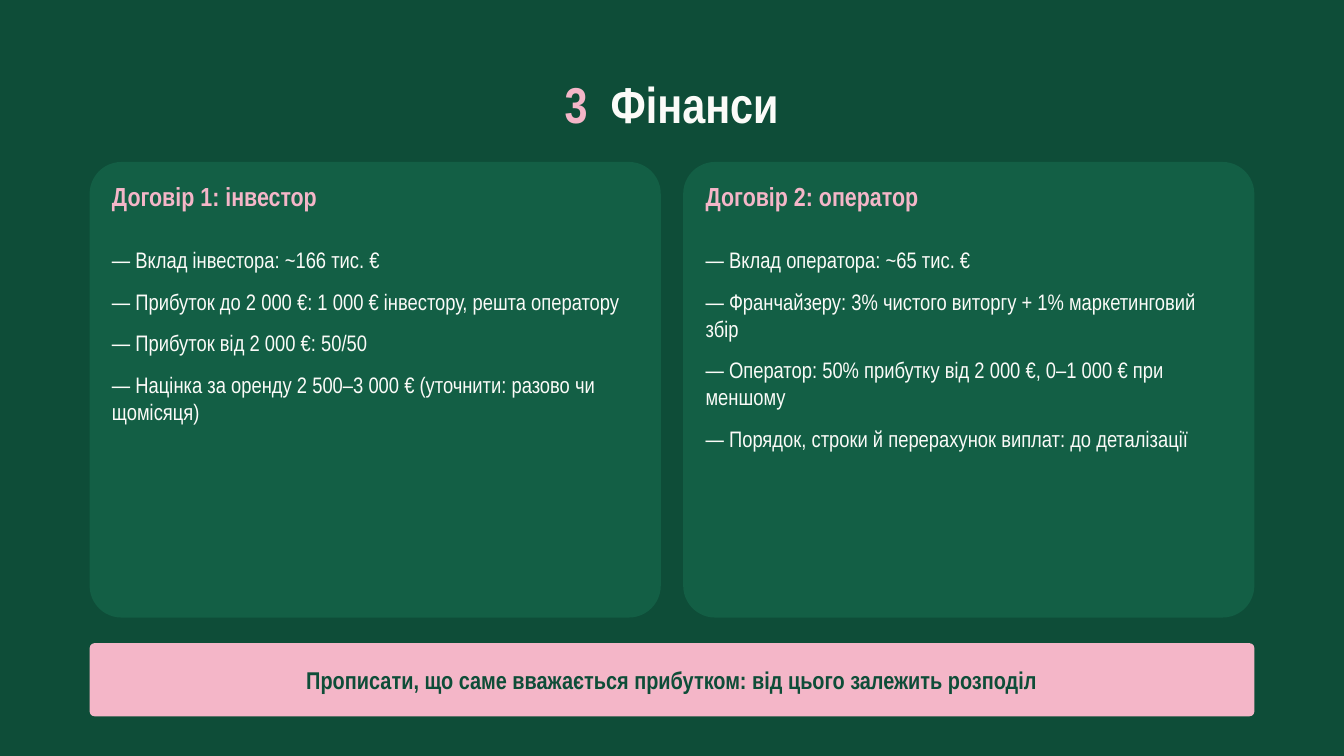
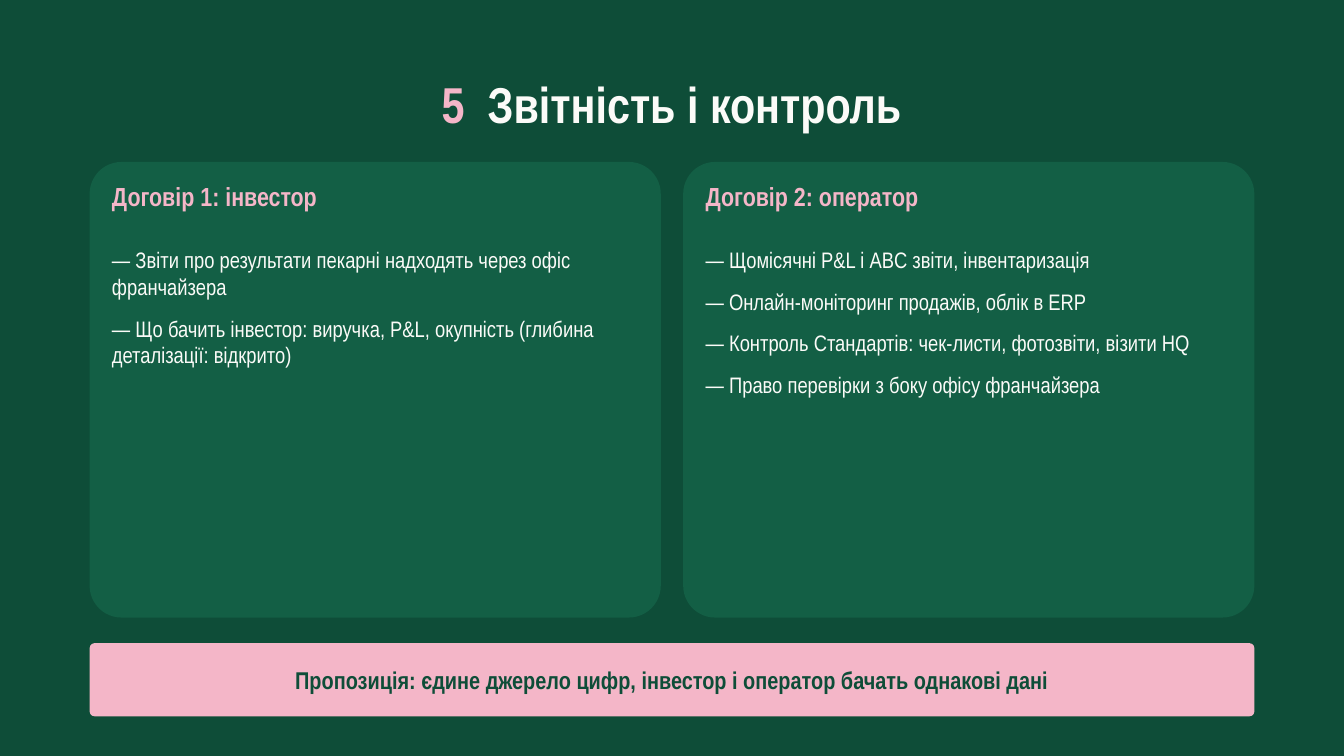
from pptx import Presentation
from pptx.dml.color import RGBColor
from pptx.enum.shapes import MSO_SHAPE as Shape
from pptx.enum.text import MSO_ANCHOR as Anchor, PP_ALIGN as Align
from pptx.util import Inches, Pt

FOREST = RGBColor(0x0E, 0x4D, 0x38)
LEAF = RGBColor(0x13, 0x5F, 0x45)
PINK = RGBColor(0xF4, 0xB6, 0xC8)
CREAM = RGBColor(0xFB, 0xFB, 0xF8)
FONT = "Arial Narrow"

WIDTH, HEIGHT = 20, 11.25
MARGIN, GAP = WIDTH / 15, WIDTH / 60
CONTENT_WIDTH = WIDTH - 2 * MARGIN
CARD_WIDTH = (CONTENT_WIDTH - GAP) / 2
CARD_TOP, CARD_HEIGHT = 2.41, 6.78
BANNER_TOP, BANNER_HEIGHT = 9.57, 1.09
CORNER = 0.07

CARD_HEADINGS = ["Договір 1: інвестор", "Договір 2: оператор"]
TOPICS = [
    {
        "number": "3",
        "title": "Фінанси",
        "cards": [
            [
                "Вклад інвестора: ~166 тис. €",
                "Прибуток до 2 000 €: 1 000 € інвестору, решта оператору",
                "Прибуток від 2 000 €: 50/50",
                "Націнка за оренду 2 500–3 000 € (уточнити: разово чи щомісяця)",
            ],
            [
                "Вклад оператора: ~65 тис. €",
                "Франчайзеру: 3% чистого виторгу + 1% маркетинговий збір",
                "Оператор: 50% прибутку від 2 000 €, 0–1 000 € при меншому",
                "Порядок, строки й перерахунок виплат: до деталізації",
            ],
        ],
        "banner": "Прописати, що саме вважається прибутком: від цього залежить розподіл",
    },
    {
        "number": "5",
        "title": "Звітність і контроль",
        "cards": [
            [
                "Звіти про результати пекарні надходять через офіс франчайзера",
                "Що бачить інвестор: виручка, P&L, окупність (глибина деталізації: відкрито)",
            ],
            [
                "Щомісячні P&L і ABC звіти, інвентаризація",
                "Онлайн-моніторинг продажів, облік в ERP",
                "Контроль Стандартів: чек-листи, фотозвіти, візити HQ",
                "Право перевірки з боку офісу франчайзера",
            ],
        ],
        "banner": "Пропозиція: єдине джерело цифр, інвестор і оператор бачать однакові дані",
    },
]


def add_panel(page, left, top, width, height, color):
    panel = page.shapes.add_shape(
        Shape.ROUNDED_RECTANGLE, Inches(left), Inches(top), Inches(width), Inches(height)
    )
    panel.adjustments[0] = CORNER
    panel.shadow.inherit = False
    panel.fill.solid()
    panel.fill.fore_color.rgb = color
    panel.line.fill.background()


def add_text(page, left, top, width, height, paragraphs, size,
             bold=False, align=Align.LEFT, anchor=Anchor.TOP, space_after=0):
    """Add a box without insets; each paragraph is a list of (text, color, tracking)."""
    box = page.shapes.add_textbox(Inches(left), Inches(top), Inches(width), Inches(height))
    frame = box.text_frame
    frame.word_wrap = True
    frame.vertical_anchor = anchor
    frame.margin_left = frame.margin_right = frame.margin_top = frame.margin_bottom = 0
    for index, spans in enumerate(paragraphs):
        para = frame.add_paragraph() if index else frame.paragraphs[0]
        para.alignment = align
        para.space_after = Pt(space_after)
        for text, color, tracking in spans:
            span = para.add_run()
            span.text = text
            span.font.name = FONT
            span.font.size = Pt(size)
            span.font.bold = bold
            span.font.color.rgb = color
            if tracking:
                span.font._element.set("spc", str(round(tracking * 100)))


def add_title(page, number, title):
    size = 54
    space_width = 0.228 * size  # widens the single space after the number
    spans = [(number, PINK, 0), (" ", PINK, space_width), (title, CREAM, 0)]
    add_text(page, 1.07, 1.09, 17.85, 0.98, [spans], size, bold=True, align=Align.CENTER)


def add_card(page, column, heading, points):
    left = MARGIN + column * (CARD_WIDTH + GAP)
    text_left, text_width = left + GAP, CARD_WIDTH - 2 * GAP
    add_panel(page, left, CARD_TOP, CARD_WIDTH, CARD_HEIGHT, LEAF)
    add_text(page, text_left, CARD_TOP + 0.27, text_width, 0.77,
             [[(heading, PINK, 0)]], 28, bold=True)
    add_text(page, text_left, CARD_TOP + 1.25, text_width, 5.36,
             [[(f"— {point}", CREAM, 0)] for point in points], 24, space_after=16)


def add_banner(page, message):
    add_panel(page, MARGIN, BANNER_TOP, CONTENT_WIDTH, BANNER_HEIGHT, PINK)
    add_text(page, MARGIN + 0.31, BANNER_TOP, CONTENT_WIDTH - 0.62, BANNER_HEIGHT,
             [[(message, FOREST, 0)]], 26, bold=True,
             align=Align.CENTER, anchor=Anchor.MIDDLE)


def add_topic(deck, topic):
    page = deck.slides.add_slide(deck.slide_layouts[6])
    page.background.fill.solid()
    page.background.fill.fore_color.rgb = FOREST
    add_title(page, topic["number"], topic["title"])
    for column, (heading, points) in enumerate(zip(CARD_HEADINGS, topic["cards"])):
        add_card(page, column, heading, points)
    add_banner(page, topic["banner"])


def main():
    deck = Presentation()
    deck.slide_width, deck.slide_height = Inches(WIDTH), Inches(HEIGHT)
    for topic in TOPICS:
        add_topic(deck, topic)
    deck.save("out.pptx")


if __name__ == "__main__":
    main()
